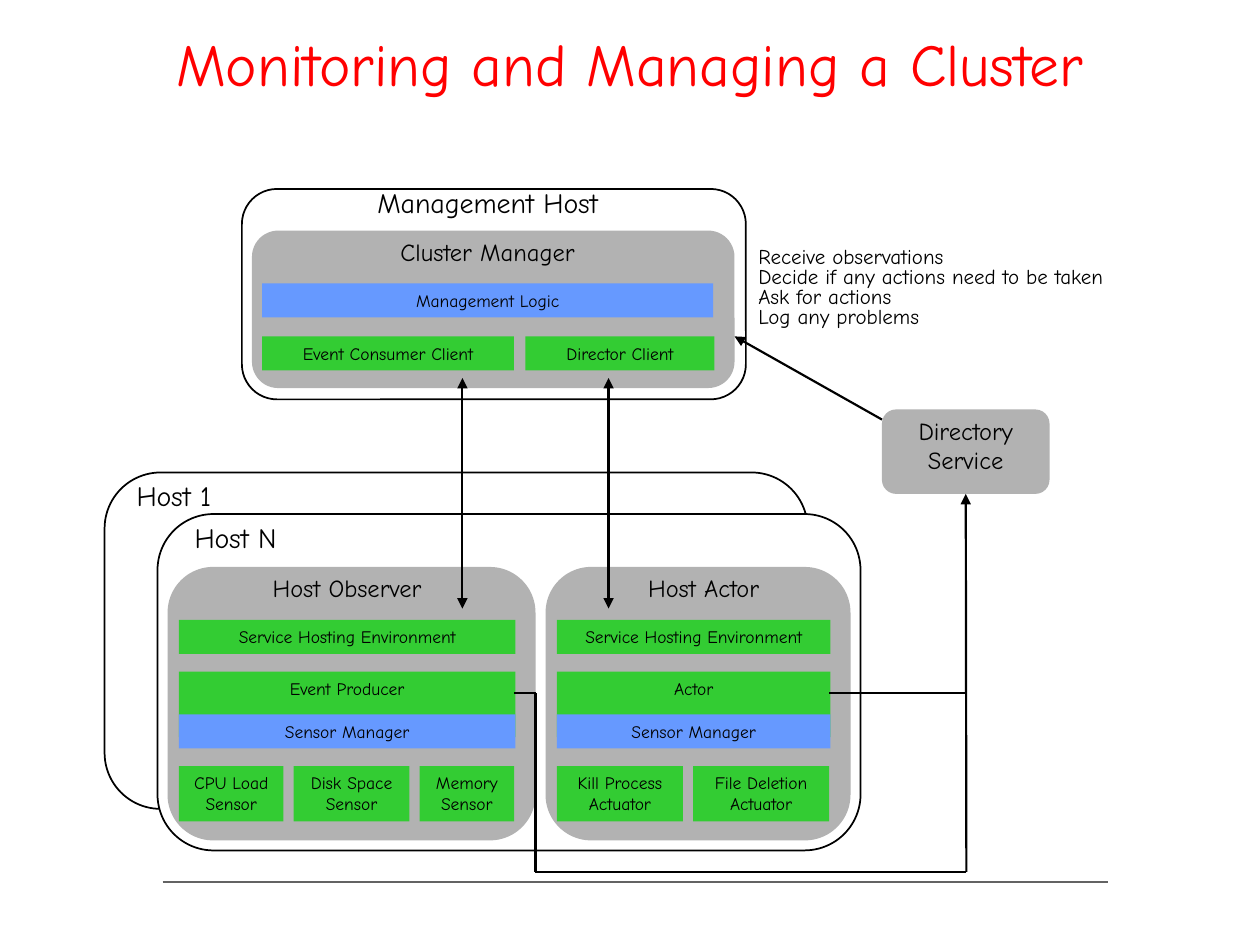
from lxml.etree import SubElement
from pptx import Presentation
from pptx.dml.color import RGBColor
from pptx.enum.shapes import MSO_CONNECTOR, MSO_SHAPE
from pptx.enum.text import MSO_ANCHOR, PP_ALIGN
from pptx.oxml.ns import qn
from pptx.util import Inches, Pt

BLACK = RGBColor(0x00, 0x00, 0x00)
WHITE = RGBColor(0xFF, 0xFF, 0xFF)
RED = RGBColor(0xFF, 0x00, 0x00)
GREEN = RGBColor(0x33, 0xCC, 0x33)
BLUE = RGBColor(0x66, 0x99, 0xFF)
GRAY = RGBColor(0xB2, 0xB2, 0xB2)
RULE = RGBColor(0x63, 0x63, 0x63)
GAP = 0.08


class Diagram:
    """Cluster diagram style and the slide it is drawn on."""

    font = "Comic Neue"

    def __init__(self, slide):
        self.shapes = slide.shapes

    def add_text(self, sp, lines, size, color=BLACK, align=PP_ALIGN.CENTER,
                 anchor=MSO_ANCHOR.TOP, spacing=None):
        tf = sp.text_frame
        tf.word_wrap = True
        tf.vertical_anchor = anchor
        p = tf.paragraphs[0]
        p.alignment = align
        p.line_spacing = spacing
        for i, line in enumerate(lines):
            if i:
                p.add_line_break()
            r = p.add_run()
            r.text = line
            r.font.name = self.font
            r.font.size = Pt(size)
            r.font.color.rgb = color

    def label(self, x, y, w, h, lines, size, **style):
        sp = self.shapes.add_textbox(Inches(x), Inches(y), Inches(w), Inches(h))
        self.add_text(sp, lines, size, **style)

    def box(self, kind, x, y, w, h, fill=None, line=None):
        sp = self.shapes.add_shape(kind, Inches(x), Inches(y), Inches(w), Inches(h))
        sp.shadow.inherit = False
        if fill is None:
            sp.fill.background()
        else:
            sp.fill.solid()
            sp.fill.fore_color.rgb = fill
        if line is None:
            sp.line.fill.background()
        else:
            sp.line.color.rgb = line
            sp.line.width = Pt(1)
        return sp

    def panel(self, x, y, w, h, fill=GRAY, line=None):
        return self.box(MSO_SHAPE.ROUNDED_RECTANGLE, x, y, w, h, fill, line)

    def block(self, x, y, w, h, text, fill=GREEN):
        sp = self.box(MSO_SHAPE.RECTANGLE, x, y, w, h, fill)
        self.add_text(sp, [text], 10)

    def line(self, x1, y1, x2, y2, ends=(), color=BLACK, width=1.25):
        c = self.shapes.add_connector(MSO_CONNECTOR.STRAIGHT, Inches(x1), Inches(y1),
                                      Inches(x2), Inches(y2))
        c.line.color.rgb = color
        c.line.width = Pt(width)
        ln = c.get_or_add_ln()
        for end in ends:
            SubElement(ln, qn(f"a:{end}"), type="triangle")
        SubElement(c._element.spPr, qn("a:effectLst"))
        return c

    def service(self, x, w, title, title_x, role, units):
        self.panel(x, 4.5, w, 2.17)
        self.label(title_x, 4.5, 1.67, 0.34, [title], 14)
        left, inner = x + 0.09, w - 0.25
        self.block(left, 4.92, inner, 0.27, "Service Hosting Environment")
        self.block(left, 5.33, inner, 0.52, role)
        self.block(left, 5.67, inner, 0.27, "Sensor Manager", BLUE)
        for name, width in units:
            self.block(left, 6.08, width, 0.44, name)
            left += width + GAP


def main():
    prs = Presentation()
    prs.slide_width, prs.slide_height = Inches(10), Inches(7.5)
    s = prs.slides.add_slide(prs.slide_layouts[6])
    d = Diagram(s)

    d.line(1.29, 7, 8.79, 7, color=RULE, width=1.5)
    d.label(0.75, 0, 8.5, 0.83, ["Monitoring and Managing a Cluster"], 34,
            color=RED, anchor=MSO_ANCHOR.BOTTOM)
    d.label(5.92, 1.92, 3.33, 0.74,
            ["Receive observations", "Decide if any actions need to be taken",
             "Ask for actions", "Log any problems"],
            12, align=PP_ALIGN.LEFT, spacing=0.8)

    d.panel(1.92, 1.5, 4, 1.67, None, BLACK)
    d.label(2.83, 1.42, 2.08, 0.37, ["Management Host"], 16)
    d.panel(2, 1.83, 3.83, 1.25)
    d.label(2.83, 1.83, 2.08, 0.34, ["Cluster Manager"], 14)
    d.block(2.08, 2.25, 3.58, 0.27, "Management Logic", BLUE)
    d.block(2.08, 2.67, 2, 0.27, "Event Consumer Client")
    d.block(4.17, 2.67, 1.5, 0.27, "Director Client")

    for name, x, y, label_x, label_w in (("Host 1", 0.83, 3.75, 0.92, 0.92),
                                         ("Host N", 1.25, 4.08, 1.33, 1.08)):
        d.panel(x, y, 5.58, 2.67, WHITE, BLACK)
        d.label(label_x, y, label_w, 0.37, [name], 16)
    d.service(1.33, 2.92, "Host Observer", 1.92, "Event Producer",
              [("CPU Load Sensor", 0.83), ("Disk Space Sensor", 0.92),
               ("Memory Sensor", 0.75)])
    d.service(4.33, 2.42, "Host Actor", 4.75, "Actor",
              [("Kill Process Actuator", 1), ("File Deletion Actuator", 1.08)])

    directory = d.panel(7, 3.25, 1.33, 0.67)
    d.label(7.08, 3.25, 1.17, 0.57, ["Directory Service"], 14)

    for x in (3.67, 4.83):
        d.line(x, 3, x, 4.83, ("headEnd", "tailEnd"))
    d.line(5.83, 2.67, 7, 3.33, ("headEnd",))
    d.line(7.67, 3.92, 7.67, 6.92, ("headEnd",)).begin_connect(directory, 2)
    d.line(7.67, 6.92, 4.25, 6.92)
    d.line(4.25, 5.5, 4.25, 6.92)
    d.line(4.08, 5.5, 4.25, 5.5)
    d.line(6.58, 5.5, 7.67, 5.5)

    prs.save("out.pptx")


if __name__ == "__main__":
    main()
